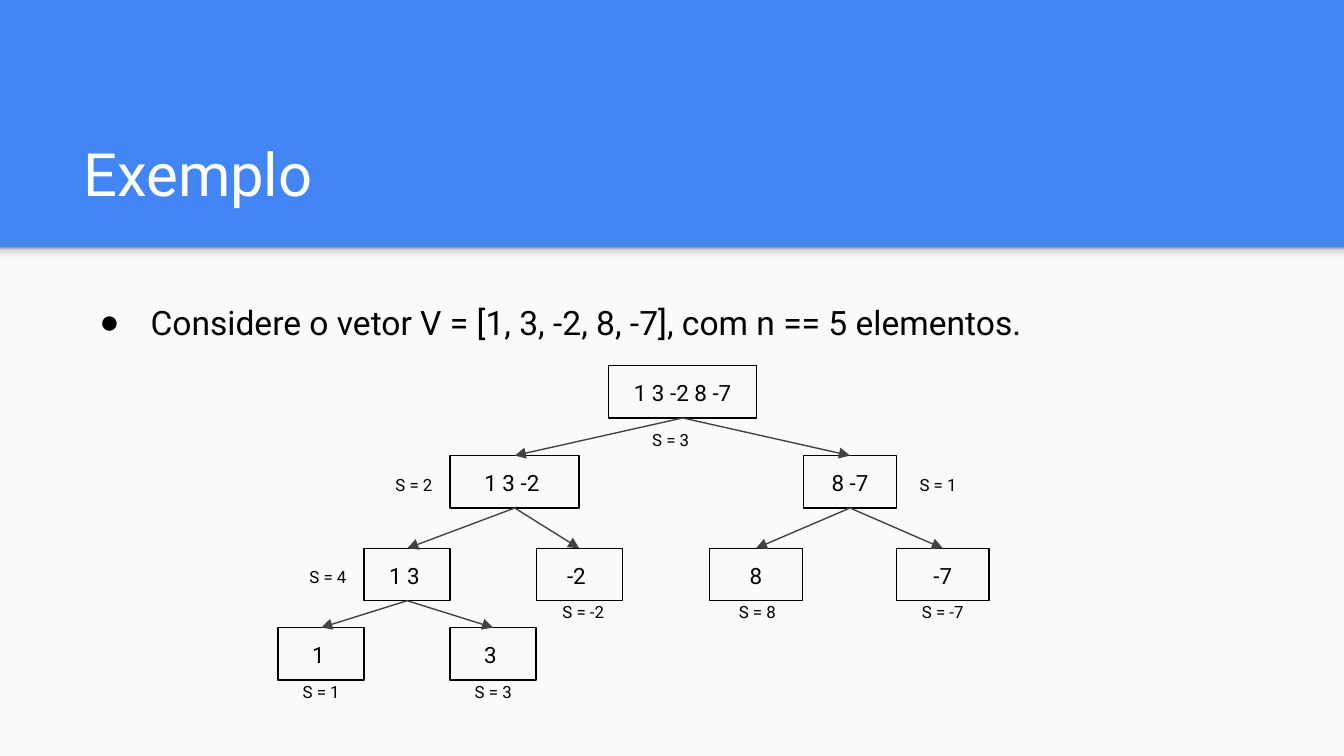
import pptx
import pptx.util
import pptx.dml.color
import pptx.enum.shapes
import pptx.enum.text
import pptx.oxml
import pptx.oxml.ns

Inches, Pt = pptx.util.Inches, pptx.util.Pt
RGBColor = pptx.dml.color.RGBColor
SHAPE = pptx.enum.shapes.MSO_SHAPE
ALIGN = pptx.enum.text.PP_ALIGN
ANCHOR = pptx.enum.text.MSO_ANCHOR

BLUE = RGBColor(0x42, 0x85, 0xF4)
PAPER = RGBColor(0xFA, 0xFA, 0xFA)
WHITE = RGBColor(0xFF, 0xFF, 0xFF)
BLACK = RGBColor(0, 0, 0)
GRAY = RGBColor(0x42, 0x42, 0x42)
SHADE = [(0, "F9F9F9"), (36, "F9F9F9"), (80, "DEDEDE"), (100, "999999")]

SLIDE_W = 10
SLIDE_H = SLIDE_W * 9 / 16
NODE_H = 0.39
LABEL_W, LABEL_H = 0.54, 0.3
# Label offset from the node: (horizontal anchor, dx, dy)
BELOW = ("center", 0, 0.3)
LEFT = ("left", 0, 0.04)
RIGHT = ("right", 0.04, 0.04)
# name: (x, y, width, text, sum, label offset, parent)
NODES = {
    "root": (2.46, 0, 1.1, "1 3 -2 8 -7", 3, ("center", -0.09, 0.38), None),
    "left": (1.28, 0.67, 0.96, "1 3 -2 ", 2, LEFT, "root"),
    "right": (3.91, 0.67, 0.69, "8 -7", 1, RIGHT, "root"),
    "left_pair": (0.64, 1.36, 0.64, "1 3 ", 4, LEFT, "left"),
    "minus_two": (1.92, 1.36, 0.64, "-2 ", -2, ("center", 0.03, 0.3), "left"),
    "eight": (3.21, 1.36, 0.69, "8", 8, ("center", 0.01, 0.3), "right"),
    "minus_seven": (4.6, 1.36, 0.69, "-7", -7, BELOW, "right"),
    "one": (0, 1.95, 0.64, "1 ", 1, BELOW, "left_pair"),
    "three": (1.28, 1.95, 0.64, "3 ", 3, BELOW, "left_pair"),
}


def xml(text):
    ns = pptx.oxml.ns.nsdecls("a")
    return pptx.oxml.parse_xml(text.replace("/>", f" {ns}/>", 1))


def place(sp, x, y, w, h):
    sp.left, sp.top, sp.width, sp.height = map(Inches, (x, y, w, h))


def set_text(sp, text, size=12, color=BLACK, align=ALIGN.CENTER,
             anchor=ANCHOR.TOP, spacing=1.0):
    tf = sp.text_frame
    tf.word_wrap = True
    tf.auto_size = pptx.enum.text.MSO_AUTO_SIZE.NONE
    tf.vertical_anchor = anchor
    tf.margin_left = tf.margin_right = Inches(0.1)
    tf.margin_top = tf.margin_bottom = Inches(0.1)
    p = tf.paragraphs[0]
    p.alignment, p.line_spacing = align, spacing
    p.space_before = p.space_after = Pt(0)
    r = p.add_run()
    r.text = text
    r.font.name, r.font.size, r.font.color.rgb = "Roboto", Pt(size), color
    return p


def add_rect(s, x, y, w, h):
    sp = s.shapes.add_shape(SHAPE.RECTANGLE, *map(Inches, (x, y, w, h)))
    sp.shadow.inherit = False
    sp.line.fill.background()
    return sp


def add_background(s, y, w, h):
    s.background.fill.solid()
    s.background.fill.fore_color.rgb = BLUE
    panel = add_rect(s, 0, y, w, h)
    panel.fill.solid()
    panel.fill.fore_color.rgb = PAPER
    # Soft shade under the header, darkest at its top edge
    shade = add_rect(s, 0, y, w, 0.12)
    shade.fill.gradient()
    shade.fill.gradient_angle = 90
    stops = shade.element.spPr.find(".//" + pptx.oxml.ns.qn("a:gsLst"))
    for stop in list(stops):
        stops.remove(stop)
    for pos, color in SHADE:
        stop = pptx.oxml.parse_xml(
            f'<a:gs {pptx.oxml.ns.nsdecls("a")} pos="{pos * 1000}">'
            f'<a:srgbClr val="{color}"/></a:gs>')
        stops.append(stop)


def add_heading(s, x, y, w):
    title, body = s.shapes.title, s.placeholders[1]
    place(title, x, y, w, 0.84)
    set_text(title, "Exemplo", size=32, color=WHITE, align=ALIGN.LEFT,
             anchor=ANCHOR.BOTTOM)
    place(body, x, y + 1.29, w, 2.96)
    p = set_text(body, "Considere o vetor V = [1, 3, -2, 8, -7], com n == 5 elementos.",
                 size=18, align=ALIGN.LEFT, spacing=1.15)
    pPr = p._p.get_or_add_pPr()
    pPr.set("marL", str(Inches(0.5)))
    pPr.set("indent", str(Inches(-0.38)))
    pPr.append(xml('<a:buChar char="●"/>'))
    # Bring the text in front of the background
    for sp in (title, body):
        sp.element.getparent().append(sp.element)


def add_node(s, x, y, w, text):
    sp = add_rect(s, x, y, w, NODE_H)
    sp.fill.background()
    sp.line.color.rgb, sp.line.width = BLACK, Pt(0.75)
    set_text(sp, text)
    return sp


def add_arrow(s, parent, child):
    line = s.shapes.add_connector(pptx.enum.shapes.MSO_CONNECTOR.STRAIGHT, 0, 0, 0, 0)
    line.begin_connect(parent, 2)
    line.end_connect(child, 0)
    line.line.color.rgb, line.line.width = GRAY, Pt(0.75)
    line.line._get_or_add_ln().append(xml('<a:tailEnd type="triangle"/>'))
    line.element.spPr.append(xml("<a:effectLst/>"))


def add_sum(s, x, y, w, total, offset):
    side, dx, dy = offset
    left = {"center": (w - LABEL_W) / 2, "left": -LABEL_W, "right": w}[side]
    sp = s.shapes.add_textbox(Inches(x + left + dx), Inches(y + dy),
                              Inches(LABEL_W), Inches(LABEL_H))
    set_text(sp, f"S = {total}", size=9)


def add_tree(s, x, y):
    boxes = {name: add_node(s, x + nx, y + ny, w, text)
             for name, (nx, ny, w, text, *_) in NODES.items()}
    for name, (*_, parent) in NODES.items():
        if parent:
            add_arrow(s, boxes[parent], boxes[name])
    for nx, ny, w, _, total, offset, _ in NODES.values():
        add_sum(s, x + nx, y + ny, w, total, offset)


prs = pptx.Presentation()
prs.slide_width, prs.slide_height = Inches(SLIDE_W), Inches(SLIDE_H)
s = prs.slides.add_slide(prs.slide_layouts[1])
add_background(s, 1.84, SLIDE_W, SLIDE_H - 1.84)
add_heading(s, 0.52, 0.81, 8.99)
add_tree(s, 2.07, 2.72)
prs.save("out.pptx")
